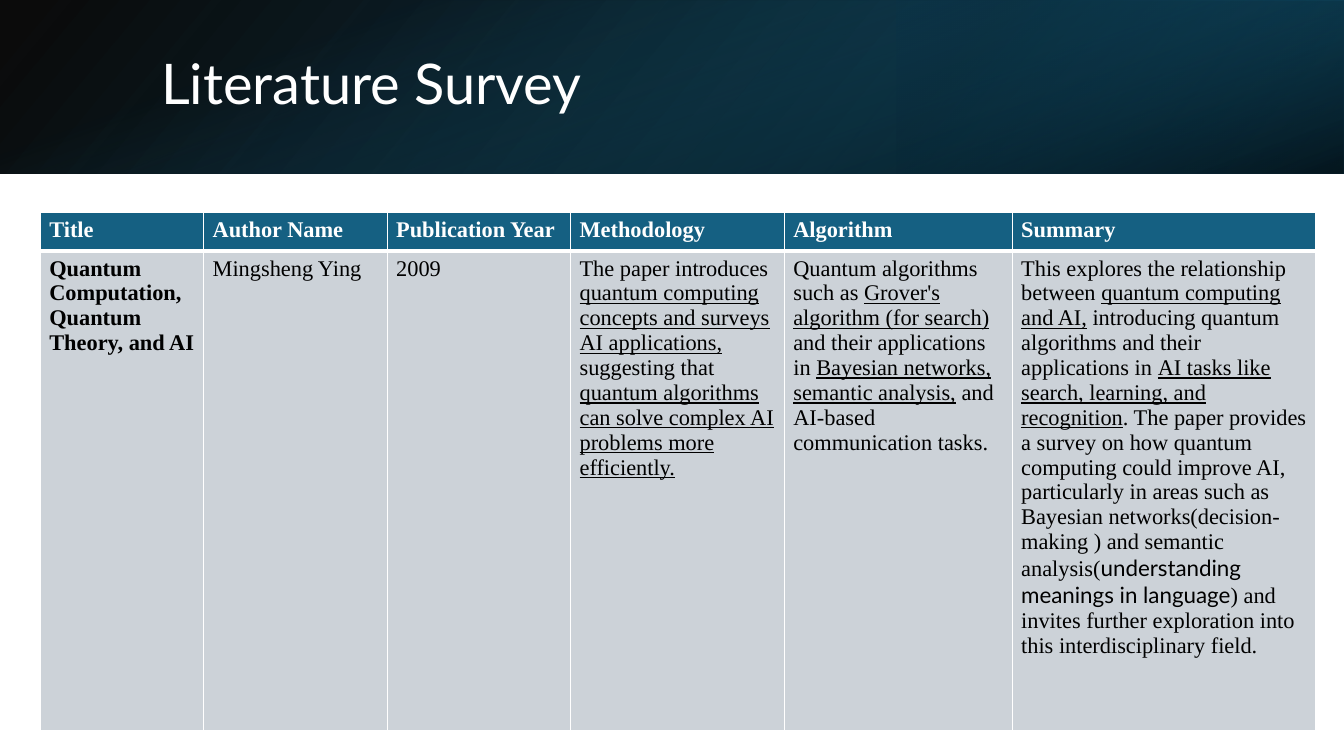
import pptx
import pptx.dml.color
import pptx.enum.shapes
import pptx.enum.text
import pptx.oxml.ns
import pptx.util
from lxml import etree

PX = 9144
COLORS = {
    "white": "FFFFFF",
    "black": "000000",
    "teal": "156082",
    "deep_teal": "104862",
    "dark_teal": "0B3041",
    "cell": "CCD2D8",
}
SERIF = "Times New Roman"
SANS = "Lato"

COLUMN_WIDTHS = [162, 182, 182, 212, 226, 301]
ROW_HEIGHTS = [38, 476]
HEADERS = ["Title", "Author Name", "Publication Year", "Methodology", "Algorithm", "Summary"]
PAPER = [
    [("Quantum Computation, Quantum Theory, and AI", {"bold": True})],
    [("Mingsheng Ying", {})],
    [("2009", {})],
    [
        ("The paper introduces ", {}),
        ("quantum computing concepts and surveys AI applications, ", {"underline": True}),
        ("suggesting that ", {}),
        ("quantum algorithms can solve complex AI problems more efficiently.", {"underline": True}),
    ],
    [
        ("Quantum algorithms such as ", {}),
        ("Grover's algorithm (for search)", {"underline": True}),
        (" and their applications in ", {}),
        ("Bayesian networks, semantic analysis,", {"underline": True}),
        (" and AI-based communication tasks.", {}),
    ],
    [
        ("This explores the relationship between ", {}),
        ("quantum computing and AI,", {"underline": True}),
        (" introducing quantum algorithms and their applications in ", {}),
        ("AI tasks like search, learning, and recognition", {"underline": True}),
        (". The paper provides a survey on how quantum computing could improve AI, "
         "particularly in areas such as Bayesian networks(decision-making ) "
         "and semantic analysis(", {}),
        ("understanding meanings in language", {"font": SANS}),
        (") and invites further exploration into this interdisciplinary field.", {}),
    ],
]


def px(length):
    return pptx.util.Emu(length * PX)


def rgb(color):
    return pptx.dml.color.RGBColor.from_string(COLORS[color])


def add_element(parent, tag, **attributes):
    return etree.SubElement(parent, pptx.oxml.ns.qn(tag), attributes)


def add_run(paragraph, text, size, color, font=SERIF, bold=False, underline=False):
    run = paragraph.add_run()
    run.text = text
    run.font.name = font
    run.font.size = pptx.util.Pt(size)
    run.font.bold = bold
    run.font.underline = underline
    run.font.color.rgb = rgb(color)


def set_gradient(shape, stops, angle):
    shape.fill.background()
    properties = shape._element.spPr
    empty_fill = properties.find(pptx.oxml.ns.qn("a:noFill"))
    gradient = etree.Element(pptx.oxml.ns.qn("a:gradFill"), rotWithShape="1")
    stop_list = add_element(gradient, "a:gsLst")
    for position, color, opacity in stops:
        stop = add_element(stop_list, "a:gs", pos=str(position * 1000))
        fill_color = add_element(stop, "a:srgbClr", val=COLORS[color])
        add_element(fill_color, "a:alpha", val=str(opacity * 1000))
    add_element(gradient, "a:lin", ang=str(angle * 60000), scaled="0")
    properties.replace(empty_fill, gradient)


def add_banner(slide, left, top, width, height, stops, angle, rotation=0, flipped=False):
    shape = slide.shapes.add_shape(
        pptx.enum.shapes.MSO_SHAPE.RECTANGLE, px(left), px(top), px(width), px(height))
    shape.shadow.inherit = False
    shape.line.fill.background()
    shape.rotation = rotation
    if flipped:
        shape._element.spPr.xfrm.set("flipH", "1")
    set_gradient(shape, stops, angle)


def set_title(slide, text):
    title = slide.shapes.title
    title.left, title.top, title.width, title.height = px(150), px(38), px(1098), px(96)
    title.text_frame.vertical_anchor = pptx.enum.text.MSO_ANCHOR.MIDDLE
    title.text_frame.word_wrap = True
    paragraph = title.text_frame.paragraphs[0]
    paragraph.alignment = pptx.enum.text.PP_ALIGN.LEFT
    paragraph.line_spacing = 0.9
    add_run(paragraph, text, 40, "white", SANS)
    slide.shapes._spTree.append(title._element)


def set_borders(cell, top, bottom):
    properties = cell._tc.get_or_add_tcPr()
    widths = {"a:lnL": 1, "a:lnR": 1, "a:lnT": top, "a:lnB": bottom}
    for index, (tag, width) in enumerate(widths.items()):
        border = etree.Element(pptx.oxml.ns.qn(tag), w=str(pptx.util.Pt(width)))
        fill = add_element(border, "a:solidFill")
        add_element(fill, "a:srgbClr", val=COLORS["white"])
        properties.insert(index, border)


def fill_cell(cell, runs, fill, color, top, bottom):
    cell.margin_left = cell.margin_right = px(10)
    cell.margin_left = cell.margin_right = px(9)
    cell.margin_top = cell.margin_bottom = px(5)
    cell.fill.solid()
    cell.fill.fore_color.rgb = rgb(fill)
    set_borders(cell, top, bottom)
    for text, style in runs:
        add_run(cell.text_frame.paragraphs[0], text, 16, color, **style)


def add_survey_table(slide):
    table = slide.shapes.add_table(
        len(ROW_HEIGHTS), len(COLUMN_WIDTHS), px(40), px(211),
        px(sum(COLUMN_WIDTHS)), px(sum(ROW_HEIGHTS))).table
    for column, width in zip(table.columns, COLUMN_WIDTHS):
        column.width = px(width)
    for row, height in zip(table.rows, ROW_HEIGHTS):
        row.height = px(height)
    for index, (header, runs) in enumerate(zip(HEADERS, PAPER)):
        fill_cell(table.cell(0, index), [(header, {"bold": True})], "teal", "white", 1, 3)
        fill_cell(table.cell(1, index), runs, "cell", "black", 3, 1)


def main():
    presentation = pptx.Presentation()
    presentation.slide_width = px(1333)
    presentation.slide_height = px(750)
    slide = presentation.slides.add_slide(presentation.slide_layouts[5])
    slide.background.fill.solid()
    slide.background.fill.fore_color.rgb = rgb("white")
    add_banner(slide, 0, 0, 1333, 172,
               [(0, "black", 96), (100, "deep_teal", 100)], 140, flipped=True)
    add_banner(slide, 889, 0, 444, 172,
               [(19, "dark_teal", 68), (100, "teal", 79)], 320, rotation=180, flipped=True)
    add_banner(slide, 580, -580, 172, 1333,
               [(23, "teal", 0), (99, "black", 74)], 340, rotation=90)
    set_title(slide, "Literature Survey")
    add_survey_table(slide)
    presentation.save("out.pptx")


if __name__ == "__main__":
    main()
